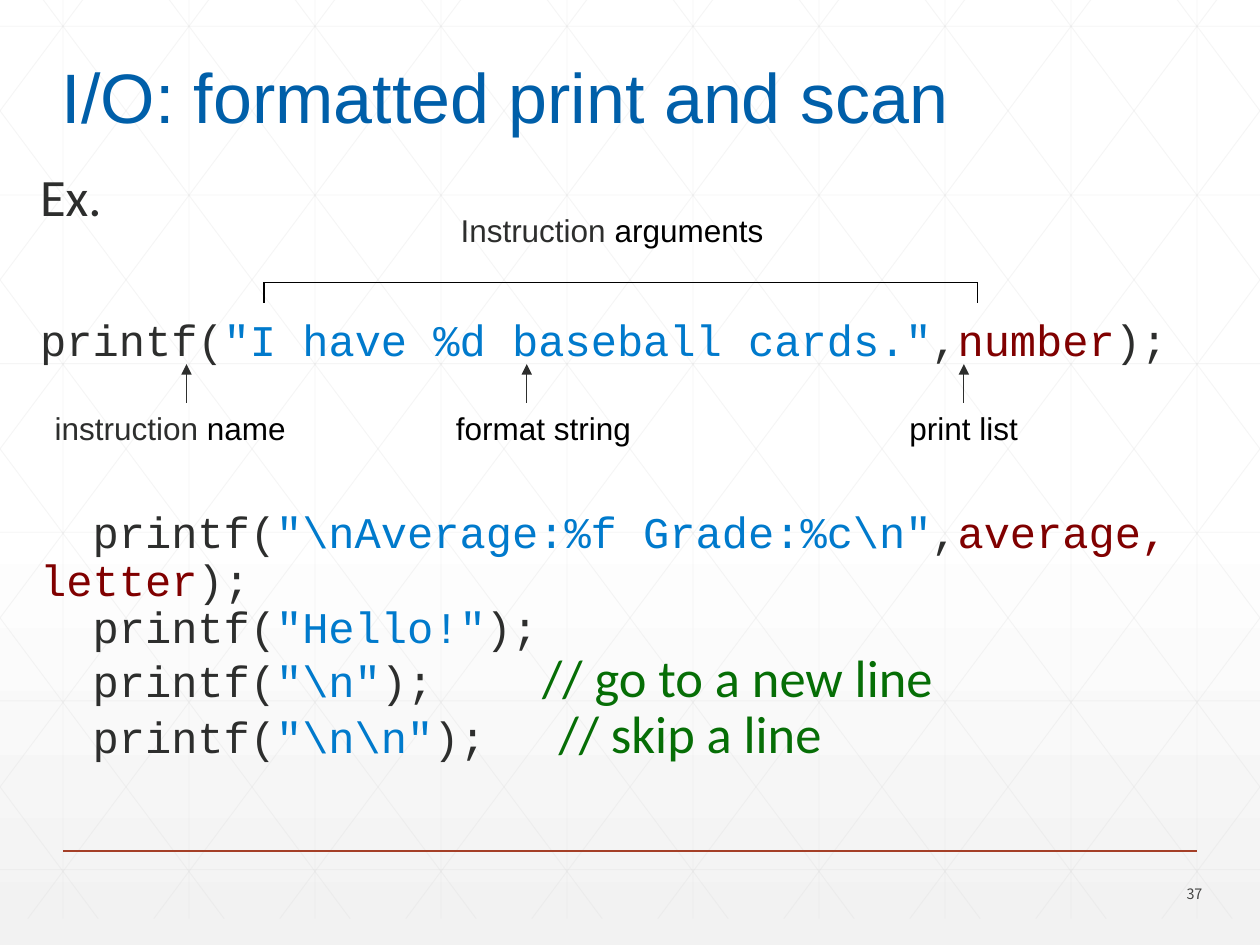
from lxml.etree import SubElement
from pptx import Presentation
from pptx.dml.color import RGBColor
from pptx.enum.shapes import MSO_CONNECTOR as Connector
from pptx.enum.text import MSO_ANCHOR as Anchor, PP_ALIGN as Align
from pptx.oxml.ns import qn
from pptx.util import Cm, Pt

WIDTH, HEIGHT = 25.4, 19.05
COLORS = {
    "white": "FFFFFF", "shade": "F2F2F2", "grid": "D9D9D9", "rule": "A43F27",
    "title": "005FA9", "number": "424342", "ink": "2D2E2D", "black": "000000",
    "string": "007ACC", "variable": "800000", "comment": "066E06",
}


def rgb(name):
    return RGBColor.from_string(COLORS[name])


def add_span(para, text, font="Arial", size=18, color="ink"):
    span = para.add_run()
    span.text = text
    span.font.name = font
    span.font.size = Pt(size)
    span.font.color.rgb = rgb(color)
    return span


def add_code(para, *pieces):
    """Add consecutive pieces of code, each a (text, color) pair."""
    for text, color in pieces:
        add_span(para, text, font="Courier New", size=25, color=color)


class SlideBuilder:
    def __init__(self, slide):
        self.slide = slide

    def background(self):
        fill = self.slide.background.fill
        fill.gradient()
        fill.gradient_angle = 270
        stops = zip(fill.gradient_stops, (0.53, 1), ("white", "shade"))
        for stop, position, color in stops:
            stop.position = position
            stop.color.rgb = rgb(color)

    def line(self, x1, y1, x2, y2, color="black", width=0.75, alpha=None, arrow=False):
        line = self.slide.shapes.add_connector(
            Connector.STRAIGHT, Cm(x1), Cm(y1), Cm(x2), Cm(y2))
        line.line.color.rgb = rgb(color)
        line.line.width = Pt(width)
        properties = line._element.spPr
        outline = properties.find(qn("a:ln"))
        if alpha:
            tint = outline.find(".//" + qn("a:srgbClr"))
            SubElement(tint, qn("a:alpha"), val=str(alpha * 1000))
        if arrow:
            SubElement(outline, qn("a:tailEnd"), type="triangle")
        SubElement(properties, qn("a:effectLst"))

    def grid(self):
        style = dict(color="grid", width=0.5, alpha=25)
        top, bottom = -0.53, 18.52
        step, run = 2.54, 14.2
        slope = (bottom - top) / run
        for i in range(10):
            x = step * (i + 0.5)
            self.line(x, top, x, bottom, **style)
        for i in range(6):
            y = 0.53 + 3.4 * i
            self.line(0, y, WIDTH, y, **style)
        for i in range(-5, 10):
            start = 0.48 + step * i
            x1, x2 = max(start, 0), min(start + run, WIDTH)
            y1, y2 = (top + (x - start) * slope for x in (x1, x2))
            self.line(x1, y1, x2, y2, **style)
            self.line(WIDTH - x1, y1, WIDTH - x2, y2, **style)

    def box(self, left, top, width, height, wrap=True, anchor=Anchor.TOP):
        box = self.slide.shapes.add_textbox(Cm(left), Cm(top), Cm(width), Cm(height))
        frame = box.text_frame
        frame.word_wrap = wrap
        frame.vertical_anchor = anchor
        return frame

    def label(self, left, top, width, inset, *pieces):
        """Add a right-aligned label; inset is the margin at its right."""
        frame = self.box(left, top, width, 1.02)
        frame.margin_right = Cm(inset)
        para = frame.paragraphs[0]
        para.alignment = Align.RIGHT
        for text, color in pieces:
            add_span(para, text, color=color)

    def title(self, text):
        frame = self.box(1, 1.12, 18.59, 1.8, wrap=False, anchor=Anchor.BOTTOM)
        para = frame.paragraphs[0]
        para.line_spacing = 0.9
        add_span(para, text, size=40, color="title")

    def page_number(self, text):
        frame = self.box(22.58, 17.72, 1.91, 0.61, anchor=Anchor.MIDDLE)
        para = frame.paragraphs[0]
        para.alignment = Align.RIGHT
        add_span(para, text, font="Noto Sans CJK TC", size=8.2, color="number")

    def body(self):
        frame = self.box(0, 3.33, WIDTH, 15.29)
        frame.margin_left, frame.margin_top = Cm(0.81), Cm(0.11)
        para = frame.paragraphs[0]
        para.line_spacing = Pt(32)
        add_span(para, "Ex.", font="Calibri", size=30)

        # opening, string, variables, space before, comment, comment tab stop
        calls = (
            ("printf(", '"I have %d baseball cards."', "number", 52, "", 0),
            ("  printf(", r'"\nAverage:%f Grade:%c\n"', "average, letter", 82.5, "", 0),
            ("  printf(", '"Hello!"', "", 0, "", 0),
            ("  printf(", r'"\n"', "", 0, "// go to a new line", 10.12),
            ("  printf(", r'"\n\n"', "", 0, "// skip a line", 10.45),
        )
        for opening, string, variables, before, comment, stop in calls:
            para = frame.add_paragraph()
            if comment:
                tabs = SubElement(para._p.get_or_add_pPr(), qn("a:tabLst"))
                SubElement(tabs, qn("a:tab"), pos=str(Cm(stop)), algn="l")
            para.line_spacing = Pt(32 if comment else 27.2)
            para.space_before = Pt(before)
            add_code(para, (opening, "ink"), (string, "string"))
            if variables:
                add_code(para, (",", "ink"), (variables, "variable"))
            add_code(para, (");", "ink"))
            if comment:
                add_span(para, "\t" + comment, font="Calibri", size=30, color="comment")

    def annotations(self):
        left, right, bar, foot = 5.32, 19.71, 5.69, 6.1
        self.line(left, bar, right, bar)
        for x in (left, right):
            self.line(x, bar, x, foot)
        self.label(7.62, 4.13, 9.4, 1.63,
                   ("Instruction ", "ink"), ("arguments", "black"))

        parts = (
            (0.71, 0.41, 3.76, [("instruction ", "ink"), ("name", "black")]),
            (8.23, 0.97, 10.62, [("format string", "black")]),
            (16.71, 1.65, 19.43, [("print list", "black")]),
        )
        for left, inset, arrow_x, pieces in parts:
            self.label(left, 8.12, 5.46, inset, *pieces)
            self.line(arrow_x, 8.12, arrow_x, 7.34, color="ink", arrow=True)


def main():
    deck = Presentation()
    deck.slide_width, deck.slide_height = Cm(WIDTH), Cm(HEIGHT)
    page = SlideBuilder(deck.slides.add_slide(deck.slide_layouts[6]))
    page.background()
    page.grid()
    page.line(1.27, 17.15, 24.13, 17.15, color="rule", width=1)
    page.page_number("37")
    page.title("I/O: formatted print and scan")
    page.body()
    page.annotations()
    deck.save("out.pptx")


if __name__ == "__main__":
    main()
